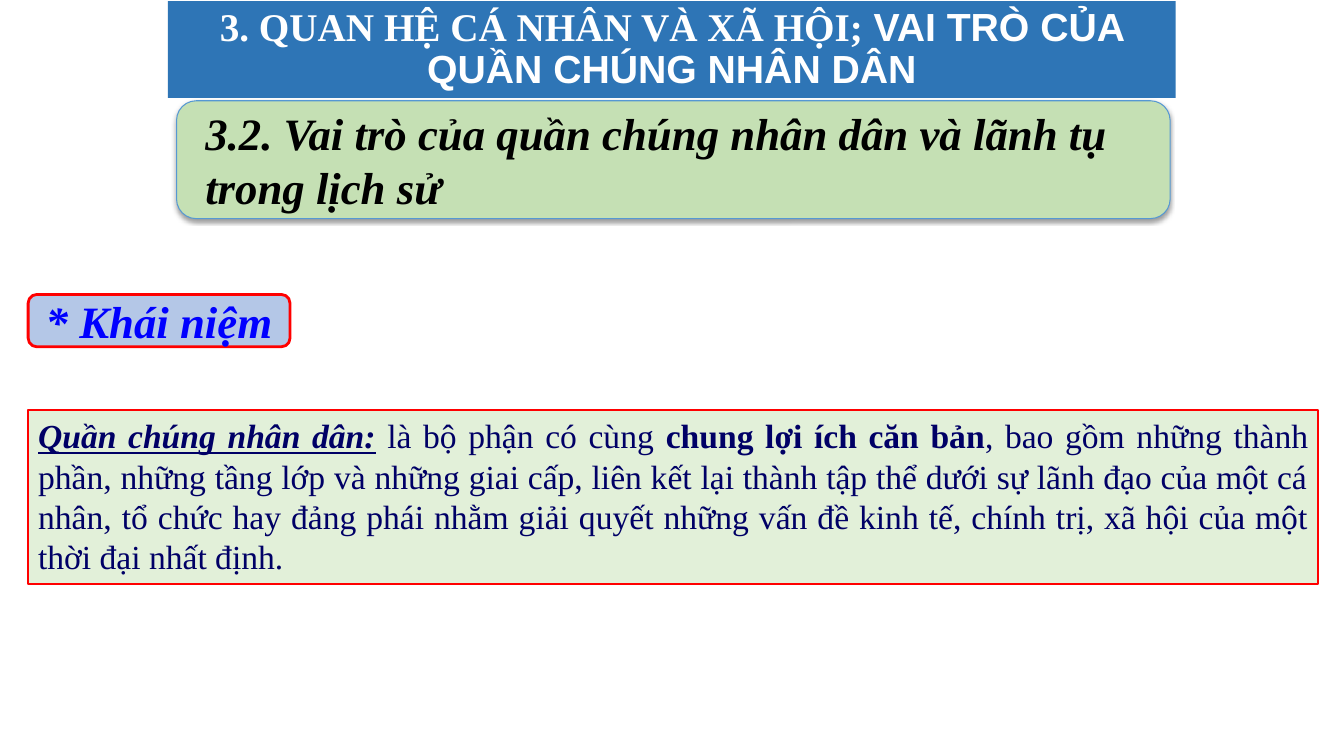
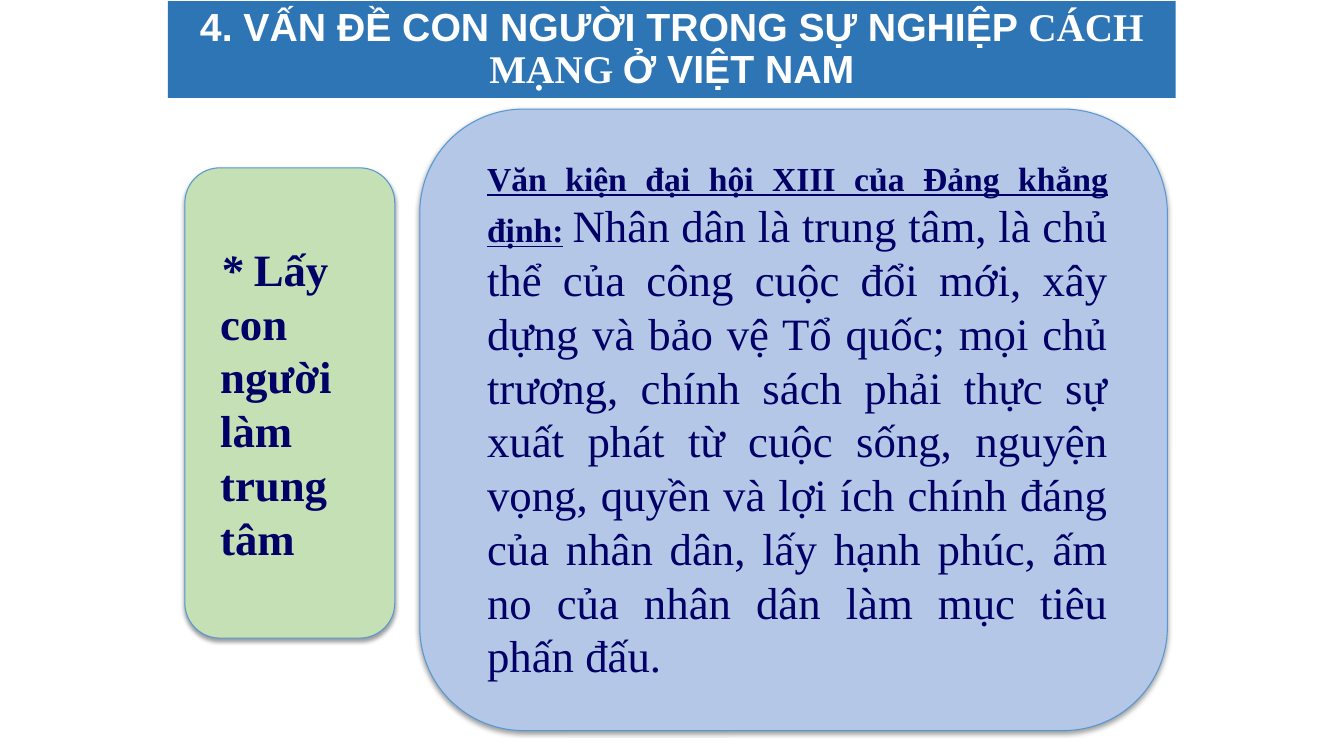
"""Build two lecture slides on the people and the human question."""
from dataclasses import dataclass

from lxml.etree import SubElement
from pptx import Presentation
from pptx.dml.color import RGBColor
from pptx.enum.shapes import MSO_SHAPE
from pptx.enum.text import MSO_ANCHOR, MSO_AUTO_SIZE, PP_ALIGN
from pptx.oxml.ns import qn
from pptx.util import Cm, Pt


@dataclass(frozen=True)
class Theme:
    """Colours, fonts and type sizes of the deck."""
    band: str = "2E75B6"
    green: str = "C5E0B4"
    pale_green: str = "E2F0D9"
    blue: str = "B4C7E7"
    card_line: str = "5698D3"
    red: str = "FF0000"
    white: str = "FFFFFF"
    black: str = "000000"
    navy: str = "000066"
    bright_blue: str = "0000FF"
    serif: str = "Times New Roman"
    sans: str = "Arial"
    title_size: int = 28
    large_size: int = 32
    body_size: int = 24


THEME = Theme()


@dataclass(frozen=True)
class Span:
    """A stretch of text with one format."""
    text: str
    size: int = THEME.body_size
    colour: str = THEME.navy
    font: str = THEME.serif
    bold: bool = False
    italic: bool = False
    underline: bool = False


def title_span(text, font):
    """Return a span in the title style."""
    return Span(text, THEME.title_size, THEME.white, font, bold=True)


def paint(shape, fill):
    """Give a shape a solid fill."""
    shape.fill.solid()
    shape.fill.fore_color.rgb = RGBColor.from_string(fill)


def write(frame, paragraphs, align, anchor=MSO_ANCHOR.MIDDLE):
    """Fill a text frame with paragraphs, each a list of spans."""
    frame.word_wrap = True
    frame.auto_size = MSO_AUTO_SIZE.NONE
    frame.vertical_anchor = anchor
    for index, spans in enumerate(paragraphs):
        paragraph = frame.add_paragraph() if index else frame.paragraphs[0]
        paragraph.alignment = align
        for span in spans:
            run = paragraph.add_run()
            run.text = span.text
            font = run.font
            font.name = span.font
            font.size = Pt(span.size)
            font.bold = span.bold
            font.italic = span.italic
            font.underline = span.underline
            font.color.rgb = RGBColor.from_string(span.colour)


def add_page(deck, *spans):
    """Add a slide with its title band."""
    page = deck.slides.add_slide(deck.slide_layouts[5])
    title = page.shapes.title
    title.left, title.top = Cm(4.23), Cm(0.03)
    title.width, title.height = Cm(25.4), Cm(2.44)
    paint(title, THEME.band)
    write(title.text_frame, [spans], PP_ALIGN.CENTER)
    title.text_frame.paragraphs[0].line_spacing = 0.9
    return page


def add_box(page, kind, place, fill, line, line_width):
    """Add an outlined preset shape at left, top, width, height in cm."""
    box = page.shapes.add_shape(kind, *map(Cm, place))
    box.shadow.inherit = False
    paint(box, fill)
    box.line.color.rgb = RGBColor.from_string(line)
    box.line.width = Pt(line_width)
    return box


def add_shadow(box):
    """Give a shape a soft shadow below it."""
    effects = box._element.spPr.find(qn("a:effectLst"))
    shadow = SubElement(effects, qn("a:outerShdw"), blurRad=str(Pt(3.1)),
                        dist=str(Pt(1.6)), dir="5400000", rotWithShape="0")
    colour = SubElement(shadow, qn("a:srgbClr"), val=THEME.black)
    SubElement(colour, qn("a:alpha"), val="38000")


def add_card(page, place, fill, paragraphs, align, indent):
    """Add a rounded card with a shadow and indented text."""
    card = add_box(page, MSO_SHAPE.ROUNDED_RECTANGLE, place, fill,
                   THEME.card_line, 0.75)
    add_shadow(card)
    frame = card.text_frame
    frame.margin_left, frame.margin_right = Cm(indent), Cm(0.73)
    frame.margin_top = frame.margin_bottom = 0
    write(frame, paragraphs, align)


def build_people_page(deck):
    """Build the slide that defines the people."""
    page = add_page(
        deck,
        title_span("3. QUAN HỆ CÁ NHÂN VÀ XÃ HỘI;", THEME.serif),
        title_span(" VAI TRÒ CỦA QUẦN CHÚNG NHÂN DÂN", THEME.sans))
    heading = Span("3.2. Vai trò của quần chúng nhân dân và lãnh tụ trong lịch sử",
                   THEME.large_size, THEME.black, bold=True, italic=True)
    add_card(page, (4.45, 2.54, 25.04, 2.97), THEME.green, [[heading]],
             PP_ALIGN.LEFT, 0.58)

    definition = add_box(page, MSO_SHAPE.RECTANGLE, (0.71, 10.34, 32.51, 4.37),
                         THEME.pale_green, THEME.red, 1.5)
    write(definition.text_frame, [[
        Span("Quần chúng nhân dân:", bold=True, italic=True, underline=True),
        Span(" là bộ phận có cùng "),
        Span("chung lợi ích căn bản", bold=True),
        Span(", bao gồm những thành phần, những tầng lớp và những giai cấp, "
             "liên kết lại thành tập thể dưới sự lãnh đạo của một cá nhân, "
             "tổ chức hay đảng phái nhằm giải quyết những vấn đề kinh tế, "
             "chính trị, xã hội của một thời đại nhất định."),
    ]], PP_ALIGN.JUSTIFY, MSO_ANCHOR.TOP)

    concept = add_box(page, MSO_SHAPE.ROUNDED_RECTANGLE, (0.71, 7.42, 6.6, 1.32),
                      THEME.blue, THEME.red, 2)
    write(concept.text_frame, [[
        Span("* Khái niệm", THEME.large_size, THEME.bright_blue,
             bold=True, italic=True),
    ]], PP_ALIGN.CENTER)


def build_human_page(deck):
    """Build the slide that puts people at the centre."""
    page = add_page(
        deck,
        title_span("4. VẤN ĐỀ CON NGƯỜI TRONG SỰ NGHIỆP ", THEME.sans),
        title_span("CÁCH MẠNG ", THEME.serif),
        title_span("Ở VIỆT NAM", THEME.sans))
    add_card(page, (4.66, 4.23, 5.29, 11.85), THEME.green, [
        [Span("* ", THEME.large_size, bold=True, italic=True),
         Span("Lấy ", THEME.large_size, bold=True)],
        [Span("con người làm trung tâm", THEME.large_size, bold=True)],
    ], PP_ALIGN.JUSTIFY, 0.63)
    add_card(page, (10.58, 2.75, 18.84, 15.66), THEME.blue, [[
        Span("Văn kiện đại hội XIII của Đảng khẳng định:",
             bold=True, underline=True),
        Span(" ", bold=True),
        Span("Nhân dân là trung tâm, là chủ thể của công cuộc đổi mới, "
             "xây dựng và bảo vệ Tổ quốc; mọi chủ trương, chính sách phải "
             "thực sự xuất phát từ cuộc sống, nguyện vọng, quyền và lợi ích "
             "chính đáng của nhân dân, lấy hạnh phúc, ấm no của nhân dân "
             "làm mục tiêu phấn đấu.", THEME.large_size),
    ]], PP_ALIGN.JUSTIFY, 0.93)


def main():
    """Build and save the deck."""
    deck = Presentation()
    deck.slide_width, deck.slide_height = Cm(33.87), Cm(19.05)
    build_people_page(deck)
    build_human_page(deck)
    deck.save("out.pptx")


if __name__ == "__main__":
    main()
